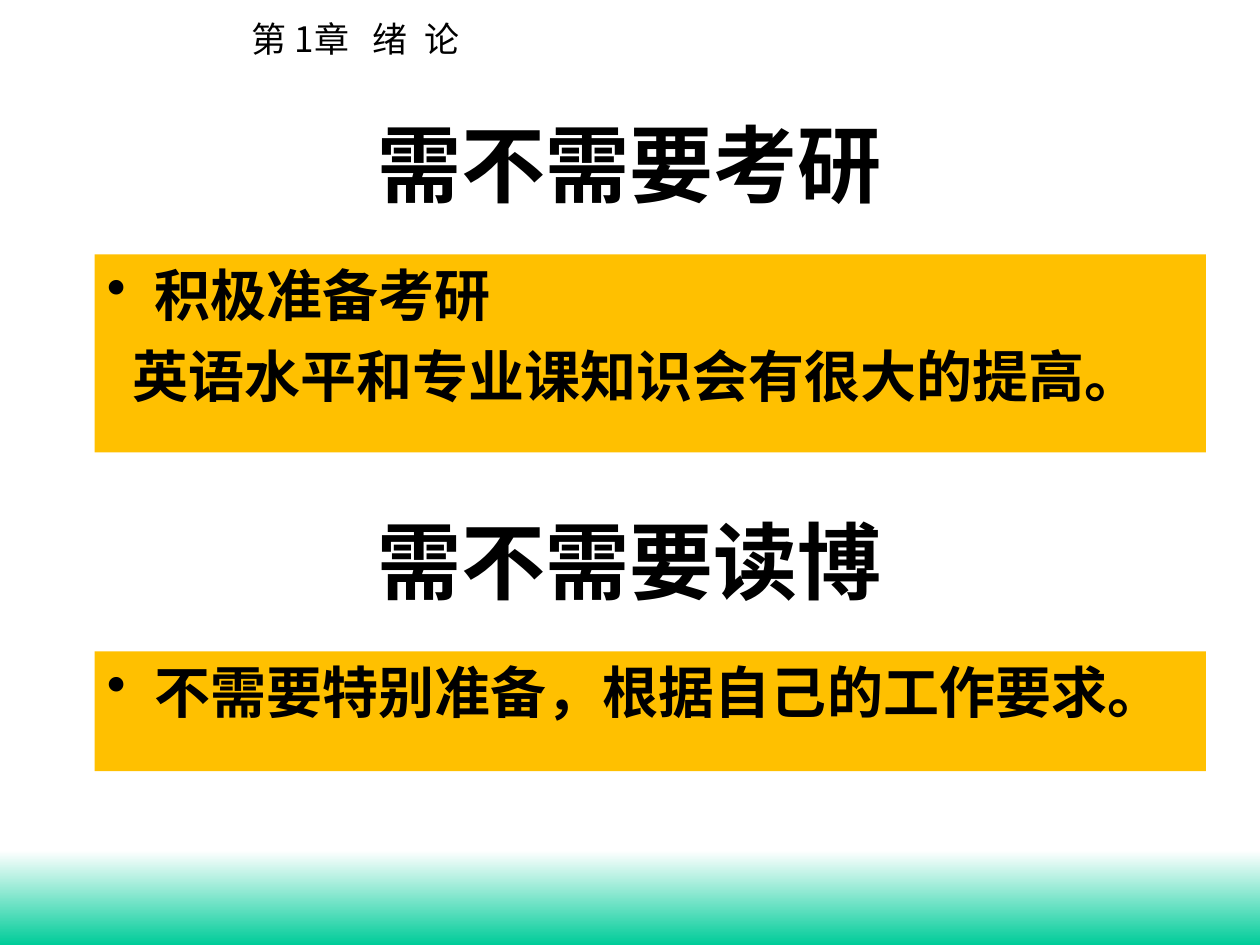
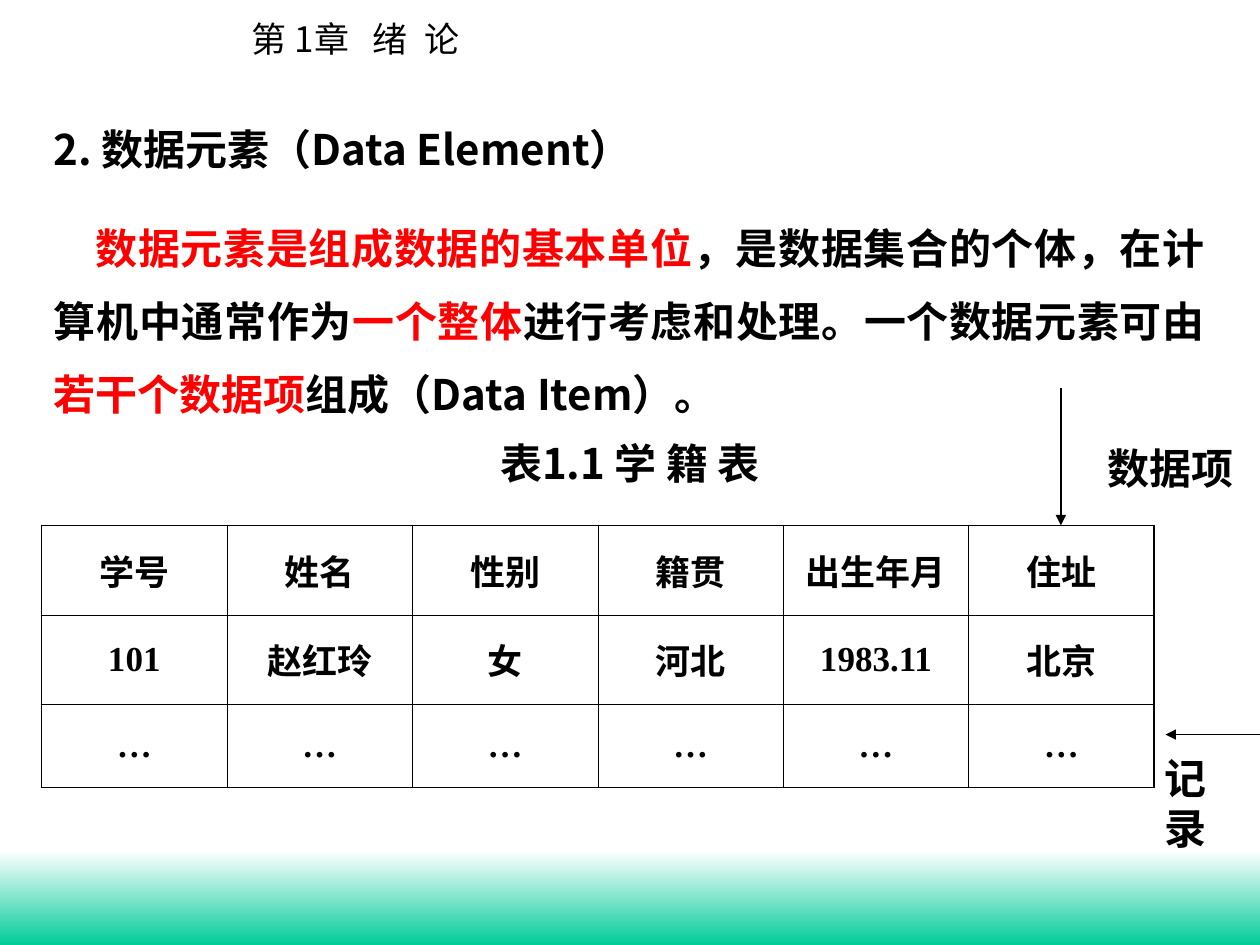
"""Build two lecture slides: study advice and the data element definition."""
from lxml import etree
from pptx import Presentation
from pptx.dml.color import RGBColor
from pptx.enum import shapes as kinds, text as styles
from pptx.oxml import ns
from pptx.util import Inches, Pt

BLACK = RGBColor(0, 0, 0)
WHITE = RGBColor(255, 255, 255)
RED = RGBColor(255, 0, 0)
GREEN = RGBColor(0, 204, 153)
AMBER = RGBColor(255, 192, 0)
SANS = "Noto Sans CJK SC"
SERIF = "Times New Roman"
THIN, THICK = Pt(0.45), Pt(1.08)


def write(frame, content, size=24, bold=True, font=SANS, align=None, before=None,
          spacing=None, margin=0, indent=0, bullet=None):
    """Add a paragraph made of a string or of (text, colour, letter gap) runs."""
    paragraph = frame.paragraphs[0]
    if paragraph.runs:
        paragraph = frame.add_paragraph()
    paragraph.alignment = align
    paragraph.line_spacing = spacing
    if before is not None:
        paragraph.space_before = Pt(before)
    props = paragraph._p.get_or_add_pPr()
    props.set("marL", str(Inches(margin)))
    props.set("indent", str(Inches(indent)))
    if bullet:
        etree.SubElement(props, ns.qn("a:buChar"), char=bullet)
    runs = [(content, BLACK, 0)] if isinstance(content, str) else content
    for words, colour, gap in runs:
        run = paragraph.add_run()
        run.text = words
        run.font.size, run.font.bold, run.font.name = Pt(size), bold, font
        run.font.color.rgb = colour
        run_props = run._r.get_or_add_rPr()
        etree.SubElement(run_props, ns.qn("a:ea"), typeface=SANS)
        if gap:
            run_props.set("spc", str(gap * 100))


def add_text(shapes, box, content, wrap=True, anchor=styles.MSO_ANCHOR.TOP, **style):
    """Add a text box holding one paragraph and return its frame."""
    frame = shapes.add_textbox(*map(Inches, box)).text_frame
    frame.word_wrap = wrap
    frame.vertical_anchor = anchor
    write(frame, content, **style)
    return frame


deck = Presentation()
deck.slide_width, deck.slide_height = Inches(10), Inches(7.5)

CHAPTER = [("第 1章", BLACK, 0), (" ", BLACK, 9), ("绪", BLACK, 0),
           (" ", BLACK, 4.5), ("论", BLACK, 0)]
CHAPTER = [(words, colour, int(gap * 10) / 10) for words, colour, gap in CHAPTER]
CHAPTER = [("第 1章", BLACK, 0), (" ", BLACK, 9), ("绪", BLACK, 0),
           (" ", BLACK, 5), ("论", BLACK, 0)]
for _ in range(2):
    slide = deck.slides.add_slide(deck.slide_layouts[6])
    band = slide.shapes.add_shape(kinds.MSO_SHAPE.RECTANGLE, 0, Inches(6.75),
                                  Inches(10), Inches(0.75))
    band.shadow.inherit = False
    band.line.fill.background()
    band.fill.gradient()
    band.fill.gradient_angle = 270
    for stop, colour in zip(band.fill.gradient_stops, (WHITE, GREEN)):
        stop.color.rgb = colour
    add_text(slide.shapes, (1.9, 0.09, 2.04, 0.44), CHAPTER, wrap=False, size=20, bold=False)
advice, element = deck.slides

BULLET = dict(margin=0.38, indent=-0.38, bullet="•")
questions = [
    ("需不需要考研", 0.67, 2.02, 1.57,
     [("积极准备考研", BULLET),
      ("英语水平和专业课知识会有很大的提高。", dict(margin=0.38, indent=-0.18))]),
    ("需不需要读博", 3.82, 5.17, 0.95,
     [("不需要特别准备，根据自己的工作要求。", BULLET)]),
]
for question, question_top, answer_top, answer_height, answers in questions:
    add_text(advice.shapes, (0.75, question_top, 8.5, 1.25), question, size=48,
             anchor=styles.MSO_ANCHOR.MIDDLE, align=styles.PP_ALIGN.CENTER)
    panel = advice.shapes.add_shape(kinds.MSO_SHAPE.RECTANGLE, Inches(0.75),
                                    Inches(answer_top), Inches(8.82), Inches(answer_height))
    panel.shadow.inherit = False
    panel.fill.solid()
    panel.fill.fore_color.rgb = AMBER
    panel.line.fill.background()
    panel.text_frame.word_wrap = True
    panel.text_frame.vertical_anchor = styles.MSO_ANCHOR.TOP
    for answer, layout in answers:
        write(panel.text_frame, answer, size=32, before=8,
              align=styles.PP_ALIGN.LEFT, **layout)

justified = dict(align=styles.PP_ALIGN.JUSTIFY, spacing=1.45, before=15)
definition = add_text(element.shapes, (0.33, 0.75, 9.33, 2.63),
                      "2. 数据元素（Data Element）", **justified)
write(definition, [
    ("数据元素是组成数据的基本单位", RED, 0),
    ("，是数据集合的个体，在计算机中通常作为", BLACK, 0),
    ("一个整体", RED, 0),
    ("进行考虑和处理。一个数据元素可由", BLACK, 0),
    ("若干个数据项", RED, 0),
    ("组成（Data Item）。", BLACK, 0),
], indent=0.33, **justified)
add_text(element.shapes, (3.87, 3.42, 2.48, 0.5), "表1.1 学 籍 表", wrap=False)

records = [
    ["学号", "姓名", "性别", "籍贯", "出生年月", "住址"],
    ["101", "赵红玲", "女", "河北", "1983.11", "北京"],
    ["…"] * 6,
]
last_row, last_column = len(records) - 1, len(records[0]) - 1
register = element.shapes.add_table(len(records), len(records[0]), Inches(0.33),
                                    Inches(4.17), Inches(8.83), Inches(2.08)).table
register.first_row = register.horz_banding = False
for row, height in zip(register.rows, (0.71, 0.71, 0.66)):
    row.height = Inches(height)
for r, record in enumerate(records):
    for c, value in enumerate(record):
        cell = register.cell(r, c)
        cell.vertical_anchor = styles.MSO_ANCHOR.MIDDLE
        write(cell.text_frame, value, size=20, font=SERIF, before=5,
              align=styles.PP_ALIGN.CENTER)
        cell_props = cell._tc.get_or_add_tcPr()
        outer_edges = {"L": c == 0, "R": c == last_column, "T": r == 0, "B": r == last_row}
        for side, outer in outer_edges.items():
            border = etree.SubElement(cell_props, ns.qn(f"a:ln{side}"),
                                      w=str(THICK if outer else THIN))
            ink = etree.SubElement(border, ns.qn("a:solidFill"))
            etree.SubElement(ink, ns.qn("a:srgbClr"), val=str(BLACK))
        cell.fill.background()

callouts = [
    ("数据项", (8.69, 3.46, 1.2, 0.5), (8.42, 3.08, 8.42, 4.17)),
    ("记录", (9.14, 5.92, 0.86, 0.5), (10, 5.83, 9.25, 5.83)),
]
for label, label_box, ends in callouts:
    callout = element.shapes.add_group_shape()
    arrow = callout.shapes.add_connector(kinds.MSO_CONNECTOR.STRAIGHT, *map(Inches, ends))
    arrow.line.color.rgb = BLACK
    arrow.line.width = Pt(0.75)
    etree.SubElement(arrow.line._get_or_add_ln(), ns.qn("a:tailEnd"), type="triangle")
    etree.SubElement(arrow._element.spPr, ns.qn("a:effectLst"))
    add_text(callout.shapes, label_box, label, wrap=False)

deck.save("out.pptx")
